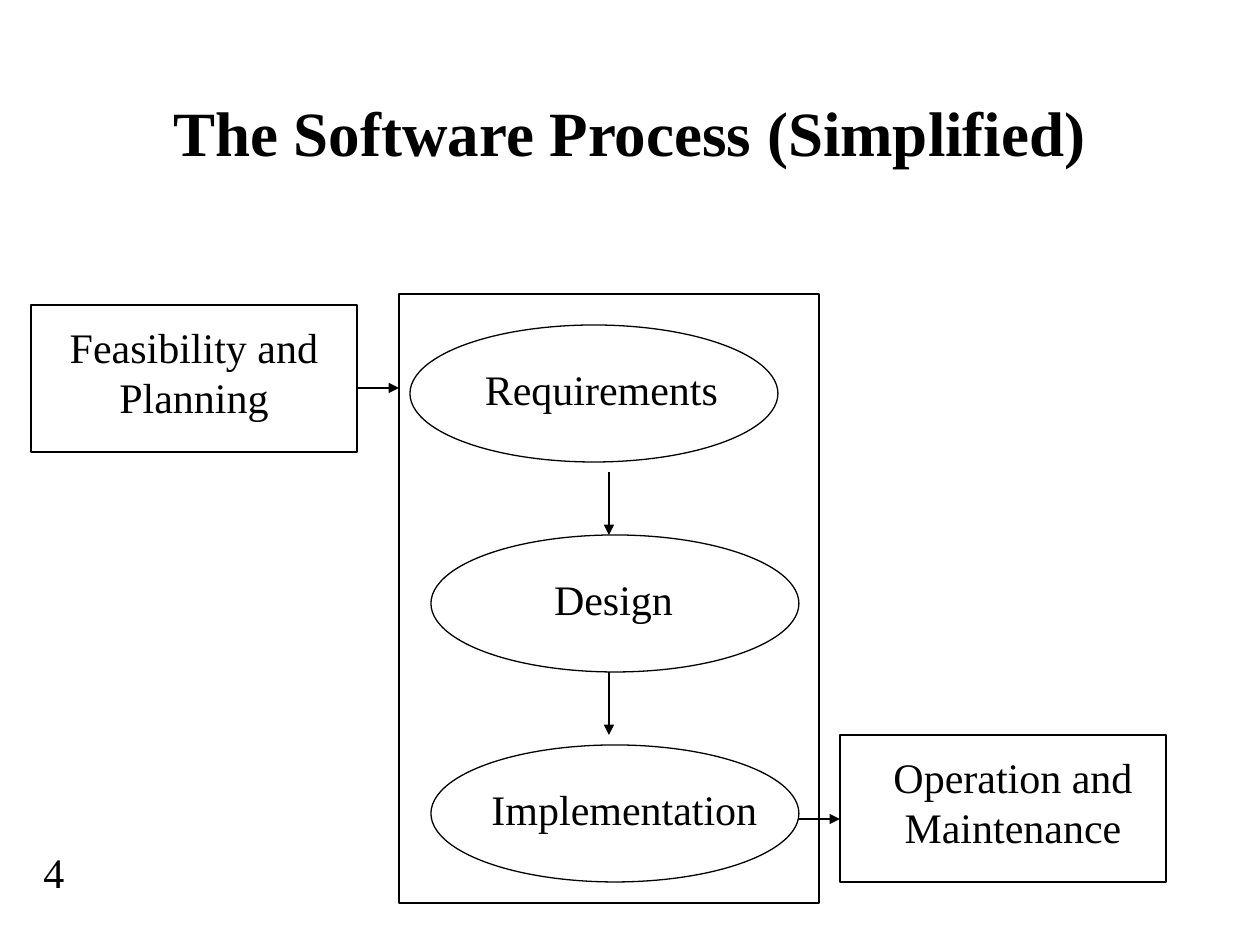
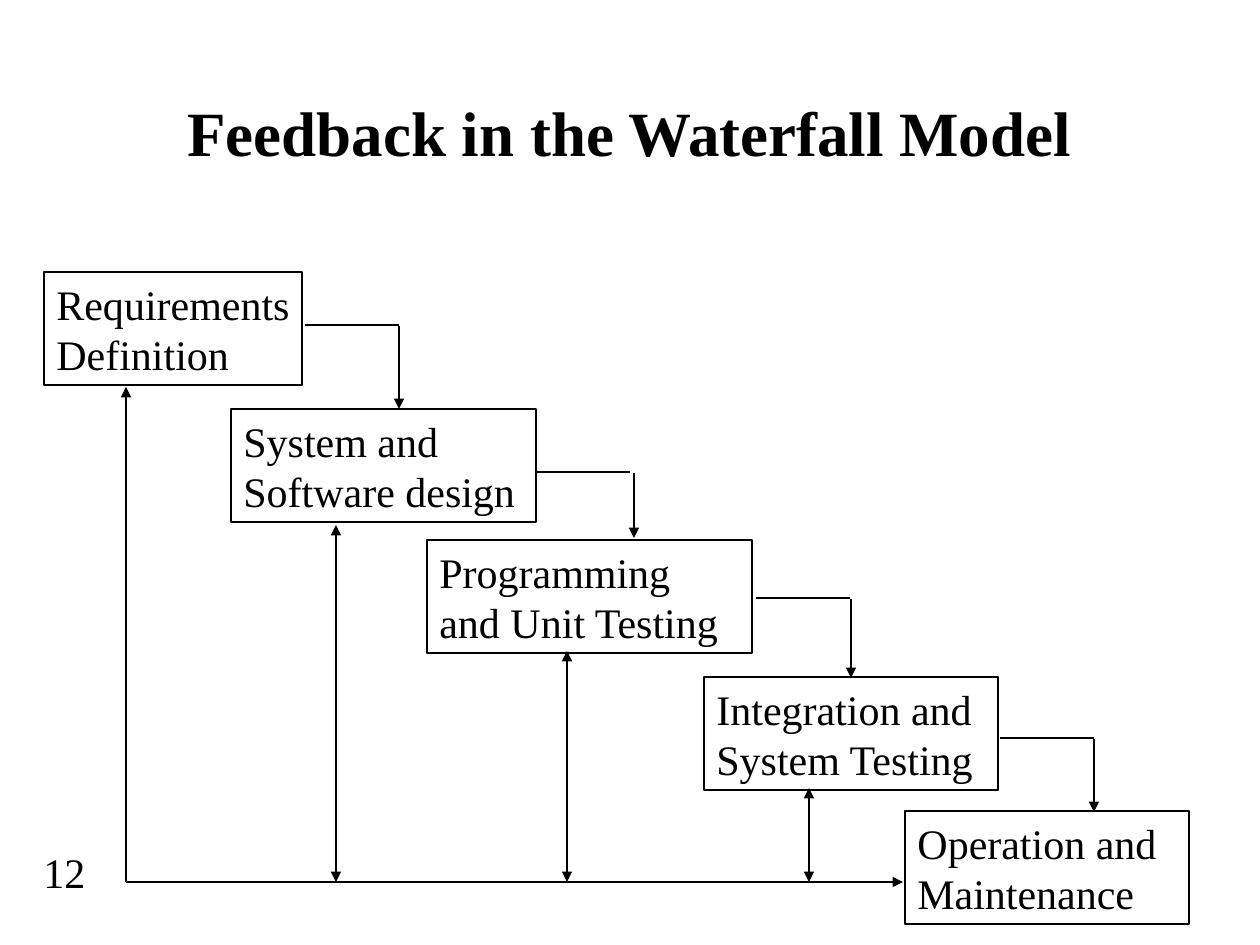
from lxml import etree
from pptx import Presentation
from pptx.dml.color import RGBColor
from pptx.enum.shapes import MSO_CONNECTOR, MSO_SHAPE
from pptx.enum.text import MSO_ANCHOR, PP_ALIGN
from pptx.oxml.ns import qn
from pptx.util import Emu, Pt

PX = 914400 / 126
FONT = "Times New Roman"
BLACK = "000000"
LINE_WIDTH = Pt(0.75)
RECTANGLE, OVAL = MSO_SHAPE.RECTANGLE, MSO_SHAPE.OVAL
STRAIGHT = MSO_CONNECTOR.STRAIGHT
LEFT, CENTER = PP_ALIGN.LEFT, PP_ALIGN.CENTER
TOP, MIDDLE = MSO_ANCHOR.TOP, MSO_ANCHOR.MIDDLE


def add_box(slide, bounds, lines=(), preset=None, size=24, bold=False,
            align=LEFT, anchor=TOP, wrap=True):
    """Add an outlined preset shape, or a plain text box when preset is None."""
    left, top, width, height = [Emu(round(value * PX)) for value in bounds]
    if preset is None:
        shape = slide.shapes.add_textbox(left, top, width, height)
    else:
        shape = slide.shapes.add_shape(preset, left, top, width, height)
        shape.shadow.inherit = False
        shape.fill.background()
        shape.line.color.rgb = RGBColor.from_string(BLACK)
        shape.line.width = LINE_WIDTH
    frame = shape.text_frame
    frame.word_wrap = wrap
    frame.vertical_anchor = anchor
    for index, text in enumerate(lines):
        paragraph = frame.add_paragraph() if index else frame.paragraphs[0]
        paragraph.alignment = align
        run = paragraph.add_run()
        run.text = text
        run.font.name = FONT
        run.font.size = Pt(size)
        run.font.bold = bold
        run.font.color.rgb = RGBColor.from_string(BLACK)


def add_line(slide, start, end, arrows=()):
    """Add a line; arrows may hold headEnd (at start) and tailEnd (at end), in that order."""
    points = [Emu(round(value * PX)) for value in (*start, *end)]
    connector = slide.shapes.add_connector(STRAIGHT, *points)
    connector.line.color.rgb = RGBColor.from_string(BLACK)
    connector.line.width = LINE_WIDTH
    properties = connector._element.spPr
    outline = properties.find(qn("a:ln"))
    for arrow in arrows:
        etree.SubElement(outline, qn(f"a:{arrow}"), type="triangle")
    etree.SubElement(properties, qn("a:effectLst"))


presentation = Presentation()
presentation.slide_width = Emu(round(1260 * PX))
presentation.slide_height = Emu(round(945 * PX))
blank_layout = presentation.slide_layouts[6]

# Titles and slide numbers
slides = []
for title, number in [("The Software Process (Simplified)", "4"),
                      ("Feedback in the Waterfall Model", "12")]:
    slide = presentation.slides.add_slide(blank_layout)
    add_box(slide, (31, 840, 136, 63), [number])
    add_box(slide, (94, 53, 1071, 157), [title], size=36, bold=True,
            align=CENTER, anchor=MIDDLE)
    slides.append(slide)
process_slide, waterfall_slide = slides

# Software process: outer stages, development frame and its three steps
add_box(process_slide, (399, 294, 420, 609), preset=RECTANGLE)
for left, top, label_left, label_top, lines in [
        (31, 305, 52, 315, ["Feasibility and", "Planning"]),
        (840, 735, 871, 745, ["Operation and", "Maintenance"])]:
    add_box(process_slide, (left, top, 326, 147), preset=RECTANGLE)
    add_box(process_slide, (label_left, label_top, 284, 113), lines, align=CENTER)

for row, (left, label_left, label) in enumerate([
        (410, 439, "Requirements"),
        (431, 451, "Design"),
        (431, 462, "Implementation")]):
    top = 325 + 210 * row
    add_box(process_slide, (left, top, 368, 137), preset=OVAL)
    add_box(process_slide, (label_left, top + 32, 325, 63), [label], align=CENTER)

for start, end in [((357, 388), (399, 388)), ((798, 819), (840, 819)),
                   ((609, 472), (609, 535)), ((609, 672), (609, 735))]:
    add_line(process_slide, start, end, ["tailEnd"])

# Waterfall stages; the first is exactly as wide as its text, so it does not wrap
for left, top, width, lines, wrap in [
        (44, 272, 258, ["Requirements", "Definition"], False),
        (231, 409, 305, ["System and", "Software design"], True),
        (427, 540, 325, ["Programming", "and Unit Testing"], True),
        (704, 677, 294, ["Integration and", "System Testing"], True),
        (905, 811, 284, ["Operation and", "Maintenance"], True)]:
    add_box(waterfall_slide, (left, top, width, 113), lines, RECTANGLE, wrap=wrap)

# Steps down from each stage to the next
for exit_x, exit_y, drop_x, drop_end in [
        (305, 325, 399, 409), (536, 472, 634, 538),
        (756, 598, 851, 678), (1000, 738, 1094, 812)]:
    add_line(waterfall_slide, (exit_x, exit_y), (exit_x + 94, exit_y))
    add_line(waterfall_slide, (drop_x, exit_y + 1), (drop_x, drop_end), ["tailEnd"])

# Feedback from operation to every earlier stage
feedback_y = 882
add_line(waterfall_slide, (903, feedback_y), (126, feedback_y), ["headEnd"])
add_line(waterfall_slide, (126, feedback_y), (126, 387), ["tailEnd"])
for x, stage_bottom in [(336, 525), (567, 651), (809, 788)]:
    add_line(waterfall_slide, (x, feedback_y), (x, stage_bottom), ["headEnd", "tailEnd"])

presentation.save("out.pptx")
